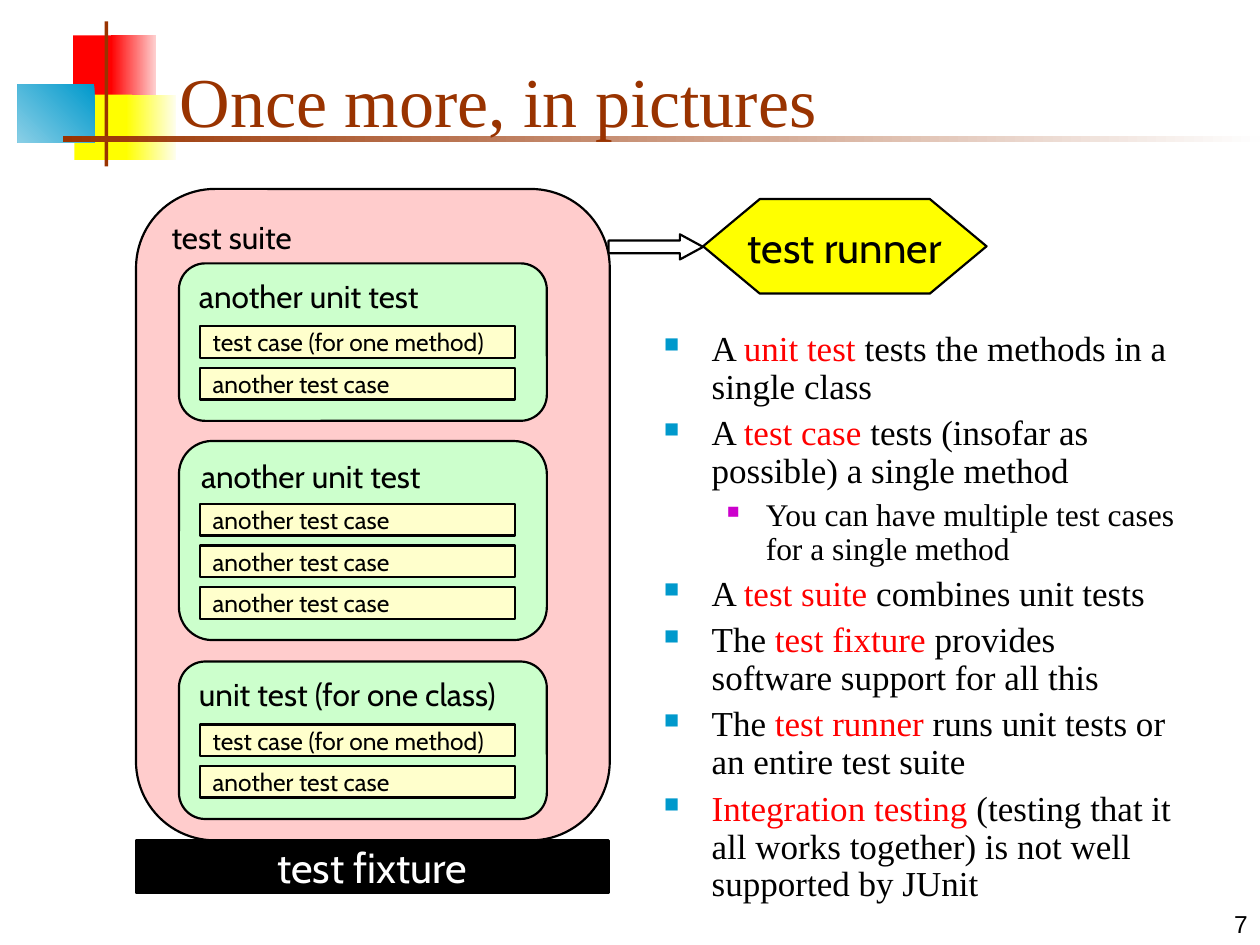
from lxml.etree import SubElement
from pptx import Presentation
from pptx.dml.color import RGBColor
from pptx.enum.shapes import MSO_SHAPE as Shape
from pptx.enum.text import MSO_ANCHOR as Anchor, PP_ALIGN as Align
from pptx.oxml.ns import qn
from pptx.util import Inches, Pt

BLACK, RED, BROWN, YELLOW = "000000", "FF0000", "993300", "FFFF00"
DIAGRAM_FONT, BODY_FONT = "Cabin", "Times New Roman"
LEVELS = [
    dict(size=20, left=0.38, hang=0.38, before=5, color="0099CC", percent=60),
    dict(size=18, left=0.81, hang=0.31, before=4.5, color="CC00CC", percent=55),
]
DECORATION = [
    ((0.58, 0.28, 0.35, 0.52), [RED], 0),
    ((0.88, 0.28, 0.36, 0.52), ["FED0D0", RED], 180),
    ((0.59, 0.75, 0.46, 0.52), [YELLOW], 0),
    ((1, 0.75, 0.4, 0.52), ["FEFEEF", YELLOW], 180),
    ((0.14, 0.67, 0.61, 0.46), ["0099CC", "8ACFE6"], 225),
    ((0.83, 0.17, 0.03, 1.15), [BROWN], 0),
    ((0.5, 1.08, 9.5, 0.05), ["FEFEFE", BROWN], 180),
]
METHOD_CASE, OTHER_CASE = "test case (for one method)", "another test case"
UNIT_TESTS = [
    (2.09, "another unit test", [METHOD_CASE, OTHER_CASE]),
    (3.5, "another unit test", [OTHER_CASE] * 3),
    (5.25, "unit test (for one class)", [METHOD_CASE, OTHER_CASE]),
]
POINTS = [
    (0, "A ", "unit test", " tests the methods in a single class"),
    (0, "A ", "test case", " tests (insofar as possible) a single method"),
    (1, "You can have multiple test cases for a single method", "", ""),
    (0, "A ", "test suite", " combines unit tests"),
    (0, "The ", "test fixture", " provides software support for all this"),
    (0, "The ", "test runner", " runs unit tests or an entire test suite"),
    (0, "", "Integration testing",
     " (testing that it all works together) is not well supported by JUnit"),
]


def rgb(value):
    """Turn a hex string into a colour."""
    return RGBColor.from_string(value)


def add_span(para, text, size, font, color):
    """Add one formatted run to a paragraph."""
    span = para.add_run()
    span.text = text
    span.font.size = Pt(size)
    span.font.name = font
    span.font.color.rgb = rgb(color)


def add_shape(page, kind, place, fill=None, line=None):
    """Add a preset shape with a plain fill and outline."""
    shape = page.shapes.add_shape(kind, *map(Inches, place))
    shape.shadow.inherit = False
    if fill:
        shape.fill.solid()
        shape.fill.fore_color.rgb = rgb(fill)
    else:
        shape.fill.background()
    if line:
        shape.line.color.rgb = rgb(line)
        shape.line.width = Pt(1.25)
    else:
        shape.line.fill.background()
    return shape


def add_band(page, place, colors, angle):
    """Add a decorative rectangle, graded if it has two colours."""
    band = add_shape(page, Shape.RECTANGLE, place, colors[0])
    if len(colors) > 1:
        band.fill.gradient()
        band.fill.gradient_angle = angle
        for stop, color in zip(band.fill.gradient_stops, colors):
            stop.color.rgb = rgb(color)


def add_label_shape(page, kind, place, fill, text, size,
                    anchor=Anchor.MIDDLE, align=Align.LEFT, color=BLACK):
    """Add an outlined diagram shape with a one-line label."""
    frame = add_shape(page, kind, place, fill, BLACK).text_frame
    frame.word_wrap = False
    frame.vertical_anchor = anchor
    para = frame.paragraphs[0]
    para.alignment = align
    add_span(para, text, size, DIAGRAM_FONT, color)


def add_text_box(page, place, anchor):
    """Add a wrapping text box and return its frame."""
    frame = page.shapes.add_textbox(*map(Inches, place)).text_frame
    frame.word_wrap = True
    frame.vertical_anchor = anchor
    return frame


def add_line_of_text(page, place, text, size, font, color, align=Align.LEFT):
    """Add a bottom-anchored text box with a single run."""
    para = add_text_box(page, place, Anchor.BOTTOM).paragraphs[0]
    para.alignment = align
    add_span(para, text, size, font, color)


def set_bullet(para, level):
    """Give a paragraph its square bullet, indent and spacing."""
    para.line_spacing = 0.9
    para.space_before = Pt(level["before"])
    props = para._p.get_or_add_pPr()
    props.set("marL", str(Inches(level["left"])))
    props.set("indent", str(-Inches(level["hang"])))
    SubElement(SubElement(props, qn("a:buClr")), qn("a:srgbClr"), val=level["color"])
    SubElement(props, qn("a:buSzPct"), val=str(level["percent"] * 1000))
    SubElement(props, qn("a:buChar"), char="■")


def add_points(page):
    """Add the bulleted list with its key terms in red."""
    frame = add_text_box(page, (5.17, 2.58, 4.33, 4.67), Anchor.TOP)
    for index, (depth, *parts) in enumerate(POINTS):
        para = frame.add_paragraph() if index else frame.paragraphs[0]
        para.level = depth
        set_bullet(para, LEVELS[depth])
        for text, color in zip(parts, (BLACK, RED, BLACK)):
            if text:
                add_span(para, text, LEVELS[depth]["size"], BODY_FONT, color)


def add_unit_test(page, top, title, cases):
    """Add a unit test panel holding its stack of test cases."""
    step = 0.33
    add_label_shape(page, Shape.FLOWCHART_ALTERNATE_PROCESS,
                    (1.42, top, 2.92, 0.59 + step * len(cases)),
                    "CCFFCC", title, 18, Anchor.TOP)
    for row, case in enumerate(cases):
        add_label_shape(page, Shape.FLOWCHART_PROCESS,
                        (1.59, top + 0.5 + step * row, 2.5, 0.25),
                        "FFFFCC", case, 14)


def add_diagram(page):
    """Add the suite, its unit tests, the fixture and the runner."""
    add_label_shape(page, Shape.FLOWCHART_ALTERNATE_PROCESS, (1.08, 1.5, 3.76, 5.17),
                    "FFCCCC", "test suite", 18, Anchor.TOP)
    for unit_test in UNIT_TESTS:
        add_unit_test(page, *unit_test)
    add_label_shape(page, Shape.FLOWCHART_PROCESS, (1.08, 6.67, 3.75, 0.42),
                    BLACK, "test fixture", 24, align=Align.CENTER, color="FFFFFF")
    add_label_shape(page, Shape.FLOWCHART_PREPARATION, (5.58, 1.58, 2.25, 0.75),
                    YELLOW, "test runner", 24, align=Align.CENTER)
    arrow = add_shape(page, Shape.RIGHT_ARROW, (4.83, 1.86, 0.75, 0.2), line=BLACK)
    arrow.adjustments[1] = 0.92


def main():
    """Build the slide and save the deck."""
    deck = Presentation()
    deck.slide_width, deck.slide_height = Inches(10), Inches(7.5)
    page = deck.slides.add_slide(deck.slide_layouts[6])
    for band in DECORATION:
        add_band(page, *band)
    add_line_of_text(page, (1.33, 0.25, 8.52, 0.92), "Once more, in pictures",
                     40, BODY_FONT, BROWN)
    add_diagram(page)
    add_points(page)
    add_line_of_text(page, (7.92, 7, 2.08, 0.5), "7", 14, "Arial", BLACK, Align.RIGHT)
    deck.save("out.pptx")


if __name__ == "__main__":
    main()
